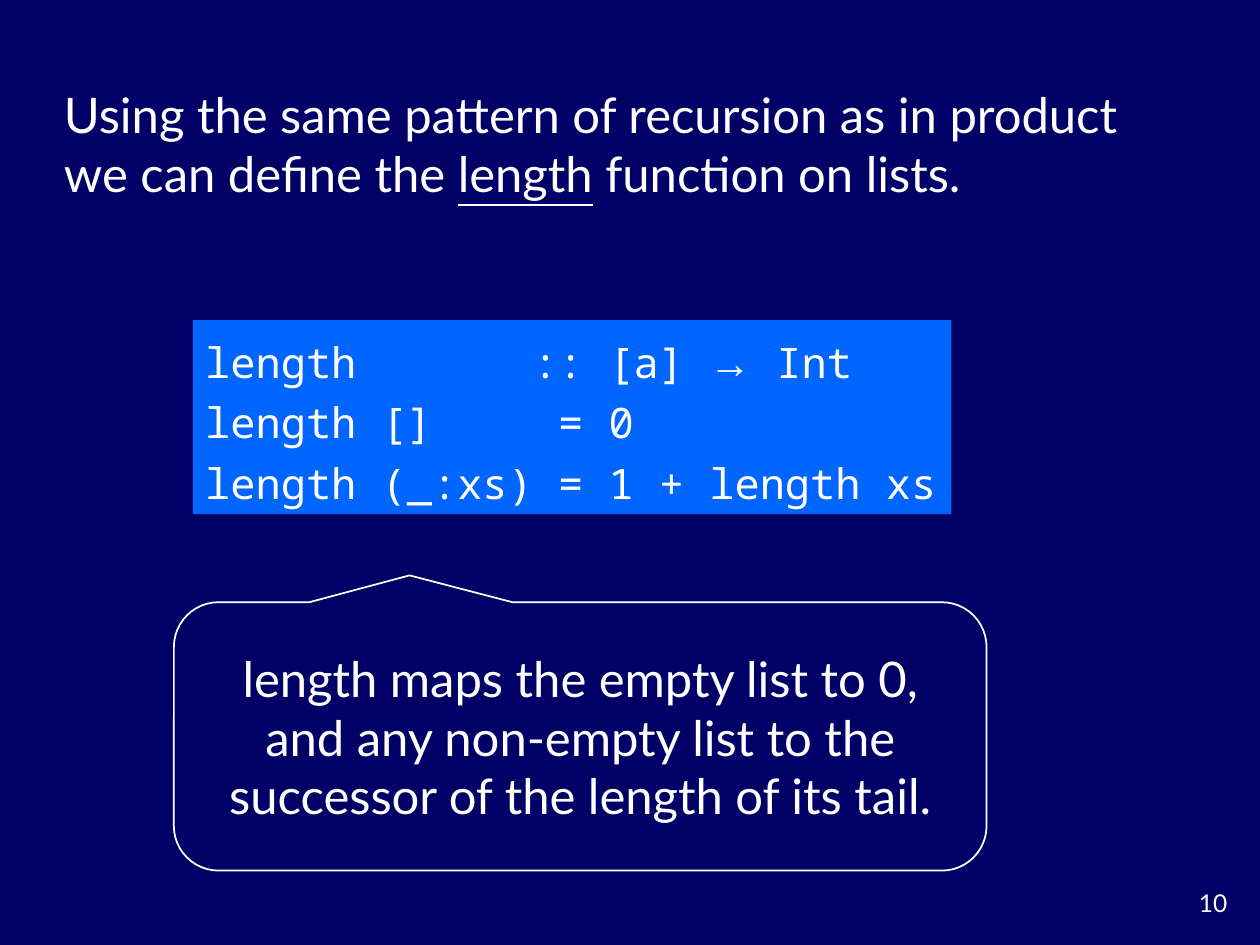
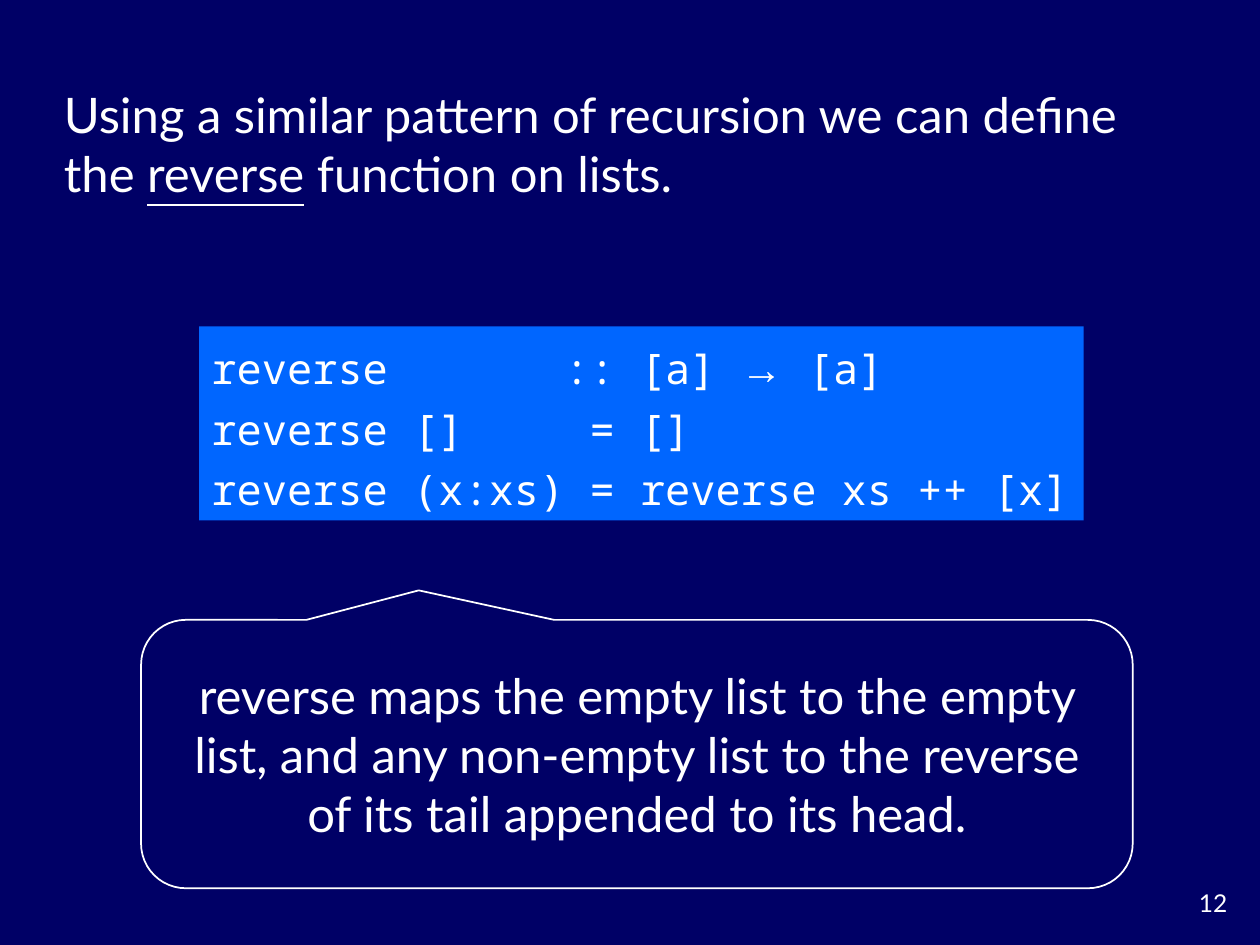
import dataclasses

import pptx
import pptx.dml.color
import pptx.enum.shapes
import pptx.enum.text
import pptx.util

Inches = pptx.util.Inches
Align = pptx.enum.text.PP_ALIGN
Anchor = pptx.enum.text.MSO_ANCHOR
AutoSize = pptx.enum.text.MSO_AUTO_SIZE
Shape = pptx.enum.shapes.MSO_SHAPE


@dataclasses.dataclass(frozen=True)
class Theme:
    background: str = "000066"
    panel: str = "0066FF"
    ink: str = "FFFFFF"
    prose_font: str = "Lato"
    code_font: str = "Noto Sans Mono"
    arrow_font: str = "Arial"
    prose_size: int = 28
    code_size: int = 24
    number_size: int = 14
    outline: int = 1
    code_spacing: float = 1.2


THEME = Theme()


def color(value):
    return pptx.dml.color.RGBColor.from_string(value)


def write_text(box, text, size=THEME.prose_size, font=THEME.prose_font,
               align=Align.LEFT, anchor=Anchor.MIDDLE, wrap=True, grow=True,
               spacing=None, special=None, special_font=None, underline=None):
    frame = box.text_frame
    frame.word_wrap = wrap
    frame.vertical_anchor = anchor
    frame.auto_size = AutoSize.SHAPE_TO_FIT_TEXT if grow else AutoSize.NONE
    for index, line in enumerate(text.split("\n")):
        para = frame.add_paragraph() if index else frame.paragraphs[0]
        para.alignment = align
        if spacing:
            para.line_spacing = spacing
        for part in line.partition(special) if special else [line]:
            if not part:
                continue
            span = para.add_run()
            span.text = part
            span.font.size = pptx.util.Pt(size)
            span.font.name = font
            span.font.color.rgb = color(THEME.ink)
            if part == special:
                span.font.name = special_font or font
                span.font.underline = underline


def add_panel(page, kind, area, fill=None, line=None):
    panel = page.shapes.add_shape(kind, *map(Inches, area))
    panel.shadow.inherit = False
    if fill:
        panel.fill.solid()
        panel.fill.fore_color.rgb = color(fill)
    else:
        panel.fill.background()
    if line:
        panel.line.color.rgb = color(line)
        panel.line.width = pptx.util.Pt(THEME.outline)
    else:
        panel.line.fill.background()
    return panel


def add_intro(page, area, text, function):
    box = page.shapes.add_textbox(*map(Inches, area))
    write_text(box, text, special=function, underline=True)


def add_code(page, area, code):
    panel = add_panel(page, Shape.RECTANGLE, area, fill=THEME.panel)
    write_text(panel, code, size=THEME.code_size, font=THEME.code_font,
               wrap=False, spacing=THEME.code_spacing,
               special="→", special_font=THEME.arrow_font)


def add_callout(page, area, text, tip):
    callout = add_panel(page, Shape.ROUNDED_RECTANGULAR_CALLOUT, area, line=THEME.ink)
    for index, value in enumerate((*tip, 0.16667)):
        callout.adjustments[index] = value
    write_text(callout, text, align=Align.CENTER)


def add_page_number(page, number):
    box = page.shapes.add_textbox(*map(Inches, (9.17, 7, 0.67, 0.33)))
    write_text(box, str(number), size=THEME.number_size, align=Align.RIGHT,
               anchor=Anchor.TOP, grow=False)


def add_function_page(deck, number, function, intro, code, callout):
    page = deck.slides.add_slide(deck.slide_layouts[6])
    for placeholder in list(page.placeholders):
        placeholder.element.getparent().remove(placeholder.element)
    add_intro(page, *intro, function)
    add_code(page, *code)
    add_callout(page, *callout)
    add_page_number(page, number)


def main():
    deck = pptx.Presentation()
    deck.slide_width = Inches(10)
    deck.slide_height = Inches(7.5)
    backdrop = deck.slide_master.background.fill
    backdrop.solid()
    backdrop.fore_color.rgb = color(THEME.background)

    add_function_page(
        deck, 10, "length",
        intro=((0.41, 0.39, 9.04, 1.5),
               "Using the same pattern of recursion as in product "
               "we can define the length function on lists."),
        code=((1.53, 2.54, 6.02, 1.54),
              "length       :: [a] → Int\n"
              "length []     = 0\n"
              "length (_:xs) = 1 + length xs"),
        callout=((1.38, 4.78, 6.45, 2.13),
                 "length maps the empty list to 0, and any non-empty list "
                 "to the successor of the length of its tail.",
                 (-0.21, -0.6)))
    add_function_page(
        deck, 12, "reverse",
        intro=((0.41, 0.62, 9.04, 1.04),
               "Using a similar pattern of recursion we can define "
               "the reverse function on lists."),
        code=((1.58, 2.59, 7.02, 1.54),
              "reverse       :: [a] → [a]\n"
              "reverse []     = []\n"
              "reverse (x:xs) = reverse xs ++ [x]"),
        callout=((1.12, 4.92, 7.87, 2.13),
                 "reverse maps the empty list to the empty list, and any "
                 "non-empty list to the reverse of its tail appended to its head.",
                 (-0.22, -0.61)))
    deck.save("out.pptx")


if __name__ == "__main__":
    main()
